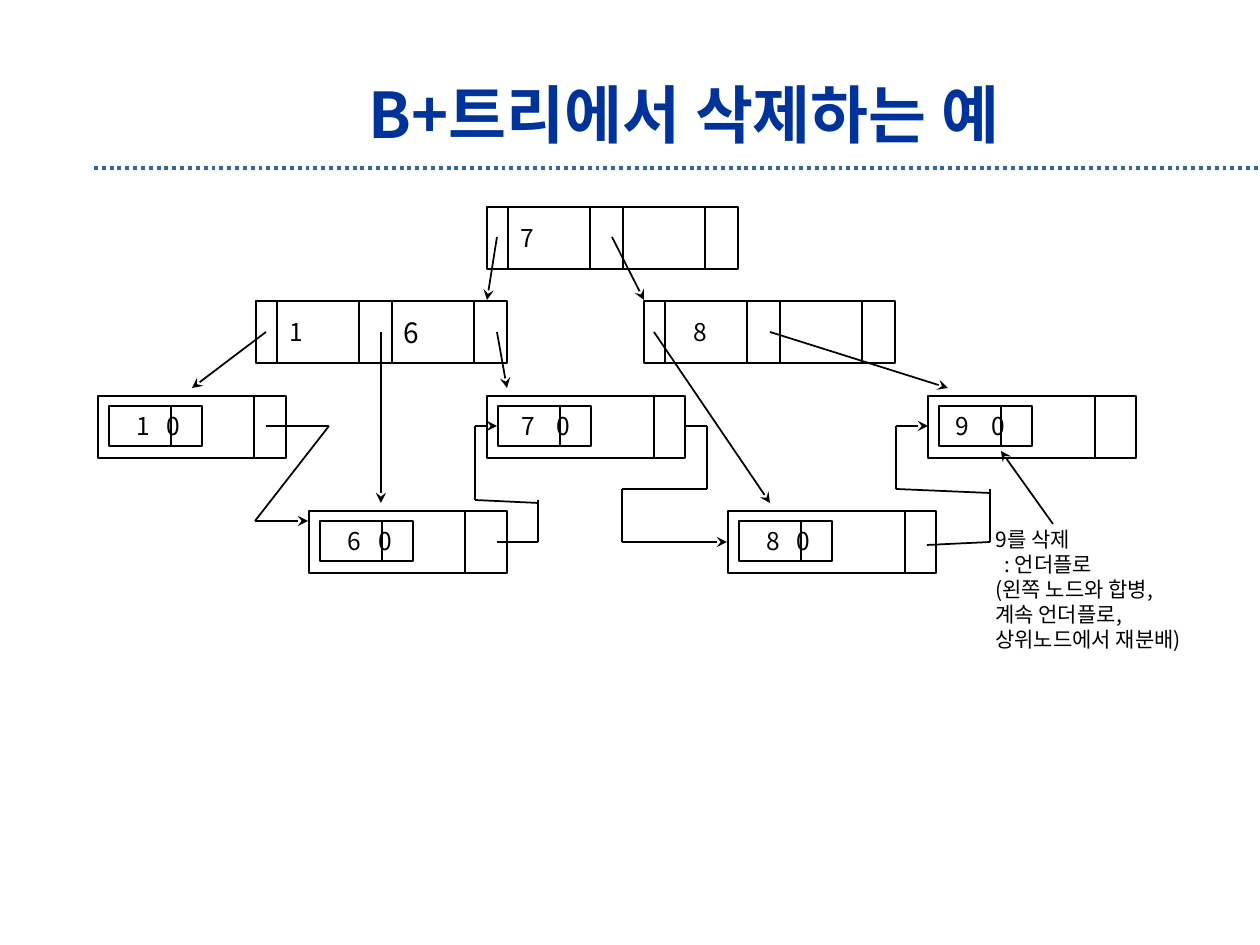
from lxml.etree import SubElement as Sub
from pptx import Presentation
from pptx.dml.color import RGBColor as Rgb
from pptx.enum.dml import MSO_LINE as Dash
from pptx.enum.shapes import MSO_CONNECTOR as Conn, MSO_SHAPE as Kind
from pptx.enum.text import MSO_ANCHOR as Anchor, PP_ALIGN as Align
from pptx.oxml.ns import qn
from pptx.util import Inches, Pt

PX = Inches(1) / 126
FONT = "Noto Sans CJK KR"
HUE = {"title": "003399", "rule": "336699", "ink": "000000", "paper": "FFFFFF"}

TITLE = "B+트리에서 삭제하는 예"
NOTE = [("9를 삭제", 0), (": 언더플로", 9), ("(왼쪽 노드와 합병,", 0),
        ("계속 언더플로,", 0), ("상위노드에서 재분배)", 0)]

# left, top, (key, size, inset) pairs
NODES = [
    (487, 207, [("7", 14, 12), ("", 14, 12)]),
    (256, 301, [("1", 14, 12), ("6", 16, 12)]),
    (644, 301, [("8", 14, 28), ("", 14, 12)]),
]
# left, top, width, pointer width, key, inset, gap
LEAVES = [
    (98, 396, 188, 32, "1", 28, 30),
    (309, 511, 198, 42, "6", 28, 30),
    (487, 396, 198, 31, "7", 23, 35),
    (728, 511, 208, 31, "8", 28, 30),
    (928, 396, 208, 41, "9", 16, 36),
]
ARROWS = [
    [(497, 237), (487, 300)],
    [(612, 237), (644, 300)],
    [(266, 332), (192, 388)],
    [(381, 332), (381, 503)],
    [(497, 332), (507, 388)],
    [(654, 332), (770, 503)],
    [(770, 332), (948, 388)],
    [(1053, 524), (1001, 451)],
    [(266, 426), (329, 426), (255, 521), (308, 521)],
    [(538, 503), (475, 500), (475, 426), (497, 426)],
    [(685, 426), (707, 426), (707, 489), (622, 489), (622, 542), (727, 542)],
    [(990, 493), (896, 489), (896, 426), (928, 426)],
]
TAILS = [
    [(497, 542), (538, 542), (538, 500)],
    [(927, 545), (990, 542), (990, 489)],
]


def px(*nums):
    return [round(n * PX) for n in nums]


def style(para, size, hue="ink", bold=False):
    font = para.font
    font.name, font.size, font.bold = FONT, Pt(size), bold
    font.color.rgb = Rgb.from_string(HUE[hue])
    props = para._p.get_or_add_pPr()
    Sub(props.find(qn("a:defRPr")), qn("a:ea")).set("typeface", FONT)
    return props


def line(start, end, hue="ink", width=1, arrow=False):
    link = slide.shapes.add_connector(Conn.STRAIGHT, *px(*start, *end))
    link.line.color.rgb = Rgb.from_string(HUE[hue])
    link.line.width = Pt(width)
    if arrow:
        Sub(link.line._get_or_add_ln(), qn("a:tailEnd")).set("type", "stealth")
    Sub(link._element.spPr, qn("a:effectLst"))
    return link


def route(points, arrow):
    last = len(points) - 2
    for i, pair in enumerate(zip(points, points[1:])):
        line(*pair, arrow=arrow and i == last)


def box(x, y, w, h, text="", size=14, inset=12, gap=0):
    rect = slide.shapes.add_shape(Kind.RECTANGLE, *px(x, y, w, h))
    rect.shadow.inherit = False
    rect.fill.solid()
    rect.fill.fore_color.rgb = Rgb.from_string(HUE["paper"])
    rect.line.color.rgb = Rgb.from_string(HUE["ink"])
    rect.line.width = Pt(1)
    if text:
        frame = rect.text_frame
        frame.margin_left, frame.margin_right = px(inset, 0)
        frame.vertical_anchor = Anchor.MIDDLE
        para = frame.paragraphs[0]
        para.text = text
        para.alignment = Align.LEFT
        props = style(para, size)
        if gap:
            tabs = props.makeelement(qn("a:tabLst"))
            props.insert(0, tabs)
            Sub(tabs, qn("a:tab"), pos=str(px(gap)[0]), algn="l")


deck = Presentation()
deck.slide_width, deck.slide_height = Inches(10), Inches(7.5)
slide = deck.slides.add_slide(deck.slide_layouts[5])

head = slide.shapes.title
head.left, head.top, head.width, head.height = px(236, 69, 896, 88)
head.text_frame.text = TITLE
head.text_frame.vertical_anchor = Anchor.MIDDLE
para = head.text_frame.paragraphs[0]
para.alignment = Align.CENTER
style(para, 36, "title", True)
line((94, 168), (1260, 168), "rule", 2.25).line.dash_style = Dash.ROUND_DOT

for x, y, keys in NODES:
    box(x, y, 251, 62)
    for i, key in enumerate(keys):
        box(x + 21 + 115 * i, y, 82, 62, *key)

for x, y, w, end, key, inset, gap in LEAVES:
    box(x, y, w, 62)
    box(x + 11, y + 10, 93, 40, f"{key}\t0", 14, inset, gap)
    line((x + w - end, y - 1), (x + w - end, y + 62))
    line((x + 73, y + 10), (x + 73, y + 51))

for points in ARROWS:
    route(points, True)
for points in TAILS:
    route(points, False)

note = slide.shapes.add_textbox(*px(983, 520, 232, 140)).text_frame
note.word_wrap = False
for i, (text, indent) in enumerate(NOTE):
    para = note.add_paragraph() if i else note.paragraphs[0]
    para.text = text
    style(para, 12).set("marL", str(px(indent)[0]))

deck.save("out.pptx")
